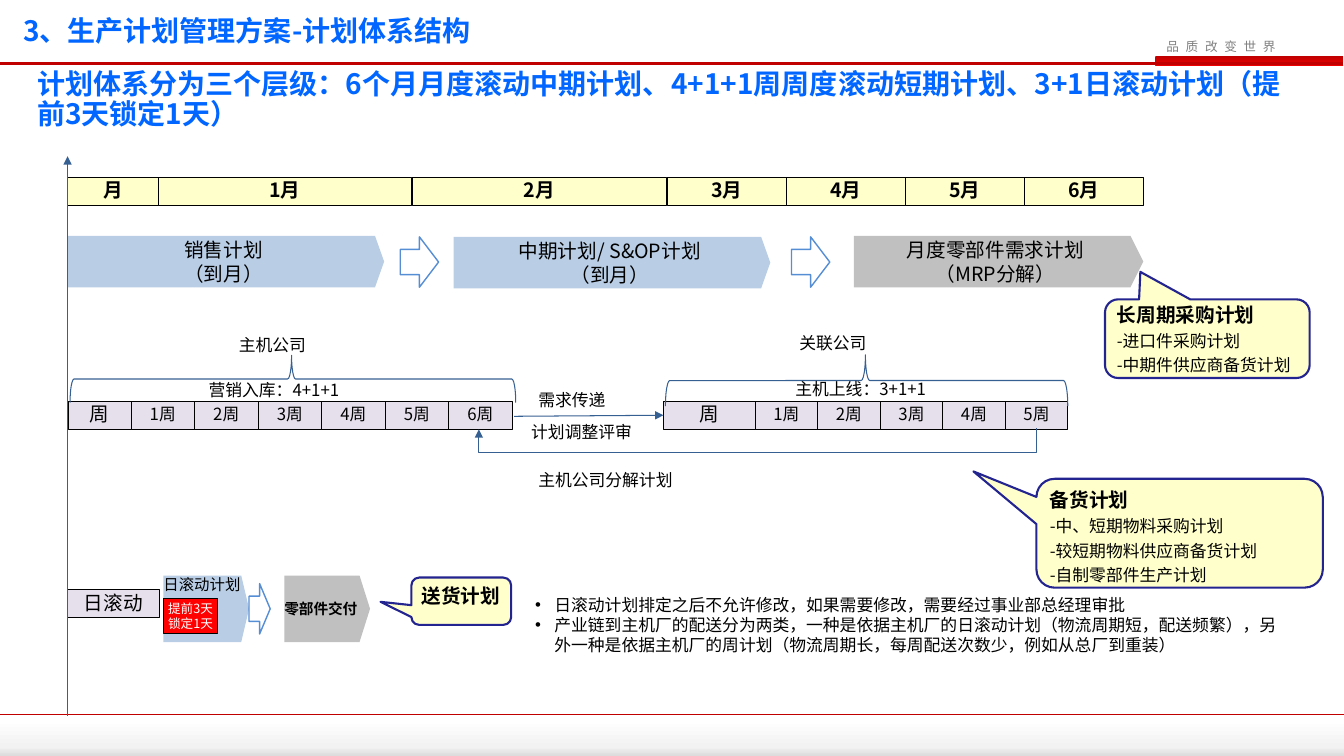
from copy import deepcopy

from pptx import Presentation
from pptx import util as u
from pptx.dml.color import RGBColor
from pptx.enum import shapes, text
from pptx.oxml import ns
from lxml import etree

FONT = "Noto Sans CJK SC"
BLACK = RGBColor(0, 0, 0)
WHITE = RGBColor(0xFF, 0xFF, 0xFF)
TITLE_BLUE = RGBColor(0x00, 0x66, 0xFF)
SLOGAN_GREY = RGBColor(0x80, 0x80, 0x80)
DARK_RED = RGBColor(0xC0, 0, 0)
BAR_RED = RGBColor(0xEE, 0, 0)
LOCK_RED = RGBColor(0xFF, 0, 0)
PALE_GREY = RGBColor(0xF2, 0xF2, 0xF2)
FOOT_GREY = RGBColor(0xDC, 0xDC, 0xDC)
CREAM = RGBColor(0xFF, 0xFF, 0xCC)
LILAC = RGBColor(0xE6, 0xE0, 0xEC)
PALE_BLUE = RGBColor(0xB9, 0xCD, 0xE5)
PART_GREY = RGBColor(0xC0, 0xC0, 0xC0)
LINE_BLUE = RGBColor(0x37, 0x60, 0x92)
ARROW_BLUE = RGBColor(0x55, 0x8E, 0xD5)
NAVY = RGBColor(0x24, 0x24, 0x90)

KIND = shapes.MSO_SHAPE
TOP, MIDDLE = text.MSO_ANCHOR.TOP, text.MSO_ANCHOR.MIDDLE
LEFT, CENTER = text.PP_ALIGN.LEFT, text.PP_ALIGN.CENTER


def add_xml(parent, tag, **attributes):
    return etree.SubElement(parent, ns.qn(tag), attributes)


def style(para, size, color=BLACK, bold=False):
    font = para.font
    font.size, font.bold = u.Pt(size), bold
    font.color.rgb = color
    font.name = FONT
    add_xml(font._rPr, "a:ea", typeface=FONT)


def write(shape, lines, size, color=BLACK, bold=False, align=LEFT, anchor=TOP,
          insets=(0.1, 0.05, 0.1, 0.05), wrap=True, spacing=None, bullet=False):
    """Fill a shape with one paragraph per line."""
    frame = shape.text_frame
    frame.word_wrap, frame.vertical_anchor = wrap, anchor
    (frame.margin_left, frame.margin_top,
     frame.margin_right, frame.margin_bottom) = map(u.Inches, insets)
    for i, line in enumerate(lines):
        para = frame.paragraphs[0] if i == 0 else frame.add_paragraph()
        para.text = line
        para.alignment = align
        if spacing:
            para.line_spacing = spacing
        if bullet:
            props = para._p.get_or_add_pPr()
            props.set("marL", str(u.Inches(0.19)))
            props.set("indent", str(-u.Inches(0.19)))
            add_xml(props, "a:buFont", typeface="Arial")
            add_xml(props, "a:buChar", char="•")
        style(para, size, color, bold)


def label(page, box, lines, size=12, **options):
    shape = page.shapes.add_textbox(*map(u.Inches, box))
    write(shape, lines, size, **options)
    return shape


def block(page, kind, box, fill=None, line=None, width=0.75, adjust=()):
    shape = page.shapes.add_shape(kind, *map(u.Inches, box))
    shape.shadow.inherit = False
    for i, value in enumerate(adjust):
        shape.adjustments[i] = value
    if fill is None:
        shape.fill.background()
    else:
        shape.fill.solid()
        shape.fill.fore_color.rgb = fill
    if line is None:
        shape.line.fill.background()
    else:
        shape.line.color.rgb = line
        shape.line.width = u.Pt(width)
    return shape


def gradient_bar(page, box, stops):
    """Rectangle shaded from top to bottom; stops are (position, colour)."""
    shape = block(page, KIND.RECTANGLE, box)
    shape.fill.gradient()
    shape.fill.gradient_angle = 270
    stop_list = shape._element.spPr.find(".//" + ns.qn("a:gsLst"))
    while len(stop_list) < len(stops):
        stop_list.append(deepcopy(stop_list[-1]))
    for stop, (position, color) in zip(shape.fill.gradient_stops, stops):
        stop.position, stop.color.rgb = position, color


def cell(page, left, top, width, caption, fill, size=14, bold=False):
    shape = block(page, KIND.RECTANGLE, (left, top, width, 0.28), fill, BLACK)
    write(shape, [caption], size, bold=bold, align=CENTER, anchor=MIDDLE,
          insets=(0, 0, 0, 0), spacing=0.9)


def stage(page, box, caption, fill, point, size=14, **options):
    shape = block(page, KIND.PENTAGON, box, fill, adjust=[point])
    write(shape, [caption], size, insets=(0, 0, 0, 0), wrap=False, **options)


def callout(page, box, tip, heading, items=(), anchor=TOP):
    shape = block(page, KIND.ROUNDED_RECTANGULAR_CALLOUT, box, CREAM, NAVY, 1.5,
                  adjust=(*tip, 0.167))
    write(shape, [heading], 14, bold=True, anchor=anchor,
          insets=(0.08, 0.04, 0.04, 0.04))
    for item in items:
        para = shape.text_frame.add_paragraph()
        para.text = item
        para.alignment = LEFT
        para.space_before = u.Pt(3)
        style(para, 12)


def brace(page, box):
    shape = block(page, KIND.LEFT_BRACE, box, line=LINE_BLUE, adjust=(0.083, 0.503))
    shape.rotation = 90


def line(page, start, end, color, width, arrow=False,
         kind=shapes.MSO_CONNECTOR.STRAIGHT):
    link = page.shapes.add_connector(kind, *map(u.Inches, (*start, *end)))
    link.line.color.rgb, link.line.width = color, u.Pt(width)
    if arrow:
        add_xml(link.line._get_or_add_ln(), "a:tailEnd", type="triangle")
    add_xml(link._element.spPr, "a:effectLst")
    return link


def feedback_arrow(page):
    """Elbow turned a quarter so that it dips below the two week rows."""
    link = line(page, (7.51, 1.49), (7.52, 7.02), LINE_BLUE, 0.75, True,
                shapes.MSO_CONNECTOR.ELBOW)
    props = link._element.spPr
    props.find(ns.qn("a:xfrm")).set("rot", str(90 * 60000))
    guides = props.find(ns.qn("a:prstGeom")).find(ns.qn("a:avLst"))
    add_xml(guides, "a:gd", name="adj1", fmla="val 2450000")


def page_frame(page):
    gradient_bar(page, (0, 7.14, 13.33, 0.36),
                 [(0, WHITE), (0.75, PALE_GREY), (1, FOOT_GREY)])
    line(page, (0, 7.09), (13.33, 7.09), DARK_RED, 1)
    gradient_bar(page, (11.46, 0.56, 1.86, 0.09), [(0, DARK_RED), (1, BAR_RED)])
    slogan = label(page, (11.47, 0.34, 1.36, 0.25), ["品 质 改 变 世 界"], 9,
                   color=SLOGAN_GREY, wrap=False)
    slogan.text_frame.paragraphs[0].runs[0]._r.get_or_add_rPr().set("spc", "140")
    line(page, (0, 0.63), (13.32, 0.63), DARK_RED, 1.5)
    label(page, (0.13, 0.06, 9.48, 0.47), ["3、生产计划管理方案-计划体系结构"], 20,
          color=TITLE_BLUE, bold=True, anchor=MIDDLE, spacing=u.Pt(25))
    label(page, (0.27, 0.65, 12.67, 0.89),
          ["计划体系分为三个层级：6个月月度滚动中期计划、4+1+1周周度滚动短期计划、"
           "3+1日滚动计划（提前3天锁定1天）"],
          20, color=TITLE_BLUE, bold=True, spacing=0.9)


def month_level(page):
    months = [(0.67, 0.91, "月"), (1.57, 2.51, "1月"), (4.09, 2.52, "2月")]
    months += [(6.62 + 1.18 * i, 1.18, f"{i + 3}月") for i in range(4)]
    for left, width, caption in months:
        cell(page, left, 1.76, width, caption, CREAM, bold=True)
    for box, caption, fill, point in (
            ((0.67, 2.34, 3.14, 0.51), "销售计划\v（到月）", PALE_BLUE, 0.177),
            ((4.5, 2.35, 3.14, 0.51), "中期计划/ S&OP计划\v（到月）", PALE_BLUE, 0.177),
            ((8.47, 2.34, 2.87, 0.51), "月度零部件需求计划\v（MRP分解）", PART_GREY, 0.25)):
        stage(page, box, caption, fill, point, align=CENTER, anchor=MIDDLE)
    callout(page, (10.96, 2.97, 2.03, 0.78), (-0.327, -0.85), "长周期采购计划",
            ["-进口件采购计划", "-中期件供应商备货计划"], MIDDLE)


def week_level(page):
    for left, width, step, count in ((0.68, 0.62, 0.63, 6), (6.58, 0.91, 0.62, 5)):
        cell(page, left, 3.98, width, "周", LILAC)
        for i in range(count):
            cell(page, left + width + step * i, 3.98, step, f"{i + 1}周", LILAC, 12)
    brace(page, (8.34, 1.78, 0.51, 3.99))
    brace(page, (2.67, 1.55, 0.47, 4.42))
    line(page, (5.1, 4.13), (6.58, 4.12), LINE_BLUE, 0.75, True)
    feedback_arrow(page)
    for left, top, width, caption in (
            (2.27, 3.27, 0.88, "主机公司"), (7.83, 3.25, 0.88, "关联公司"),
            (1.97, 3.72, 1.59, "营销入库：4+1+1"), (7.79, 3.71, 1.59, "主机上线：3+1+1"),
            (5.24, 3.82, 0.88, "需求传递"), (5.17, 4.13, 1.21, "计划调整评审"),
            (5.24, 4.61, 1.72, "主机公司分解计划")):
        label(page, (left, top, width, 0.3), [caption], wrap=False)
    callout(page, (10.28, 4.75, 2.84, 1.08), (-0.72, -0.568), "备货计划",
            ["-中、短期物料采购计划", "-较短期物料供应商备货计划", "-自制零部件生产计划"])


def day_level(page):
    cell(page, 0.67, 5.85, 0.91, "日滚动", LILAC)
    stage(page, (1.62, 5.71, 0.85, 0.66), "日滚动计划", PALE_BLUE, 0.117, 11)
    stage(page, (2.82, 5.71, 0.85, 0.66), "零部件交付", PART_GREY, 0.158, 10.5,
          bold=True, anchor=MIDDLE)
    lock = block(page, KIND.RECTANGLE, (1.62, 5.94, 0.54, 0.34), LOCK_RED, BLACK, 0.5)
    write(lock, ["提前3天\v锁定1天"], 9, WHITE, align=CENTER, anchor=MIDDLE,
          insets=(0, 0.05, 0, 0.05))
    callout(page, (4.08, 5.73, 0.99, 0.47), (-0.809, 0.013), "送货计划")
    label(page, (5.21, 5.85, 7.62, 0.71),
          ["日滚动计划排定之后不允许修改，如果需要修改，需要经过事业部总经理审批",
           "产业链到主机厂的配送分为两类，一种是依据主机厂的日滚动计划（物流周期短，配送频繁），"
           "另外一种是依据主机厂的周计划（物流周期长，每周配送次数少，例如从总厂到重装）"],
          bullet=True)


def main():
    deck = Presentation()
    deck.slide_width, deck.slide_height = u.Inches(13.33), u.Inches(7.5)
    page = deck.slides.add_slide(deck.slide_layouts[6])
    page_frame(page)
    month_level(page)
    week_level(page)
    day_level(page)
    # Time axis and the arrows between stages
    line(page, (0.67, 7.1), (0.67, 1.55), LINE_BLUE, 0.75, True)
    for left, top, width in ((3.97, 2.35, 0.38), (7.85, 2.35, 0.38), (2.47, 5.79, 0.21)):
        block(page, KIND.RIGHT_ARROW, (left, top, width, 0.5), WHITE, ARROW_BLUE, 1)
    deck.save("out.pptx")


if __name__ == "__main__":
    main()
